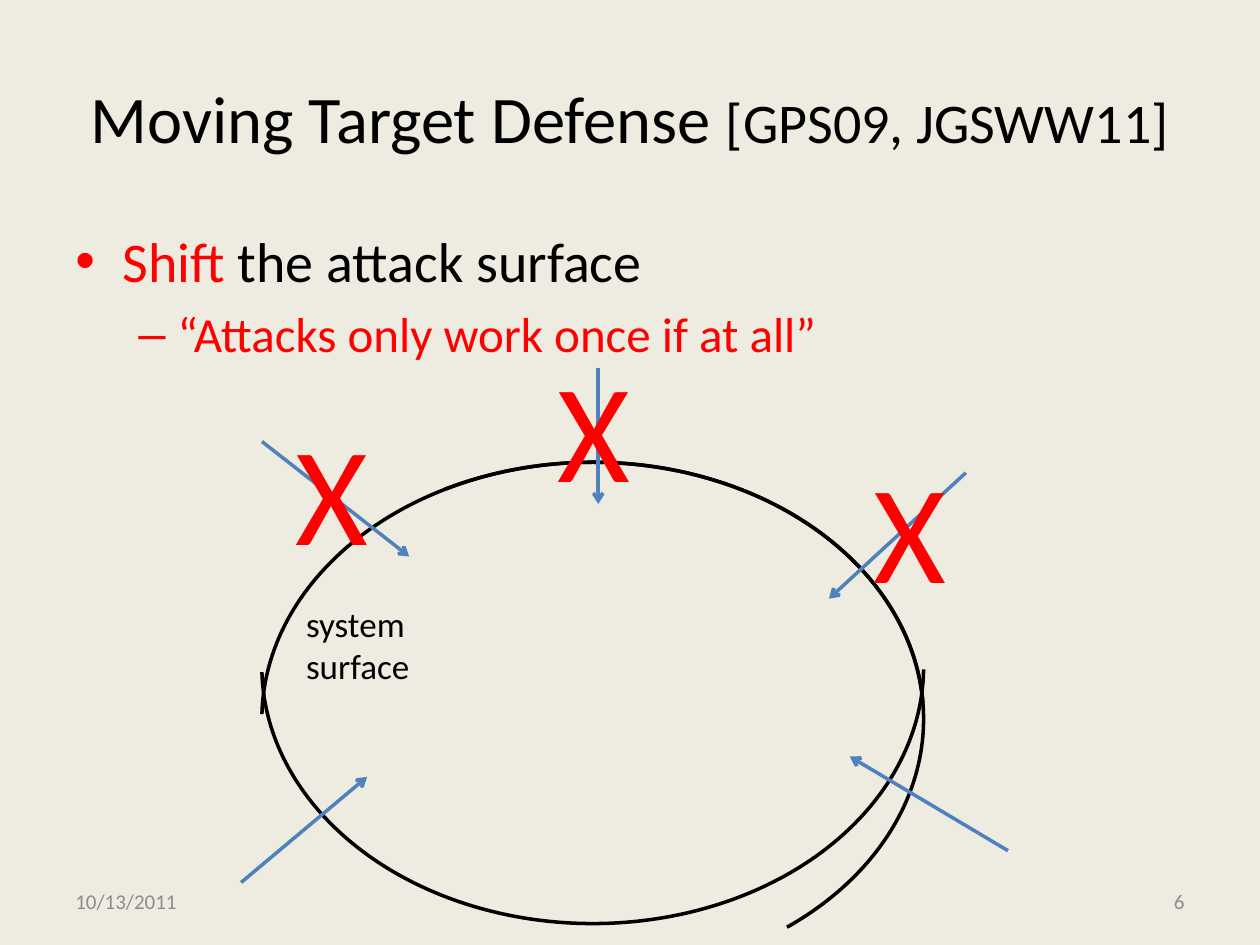
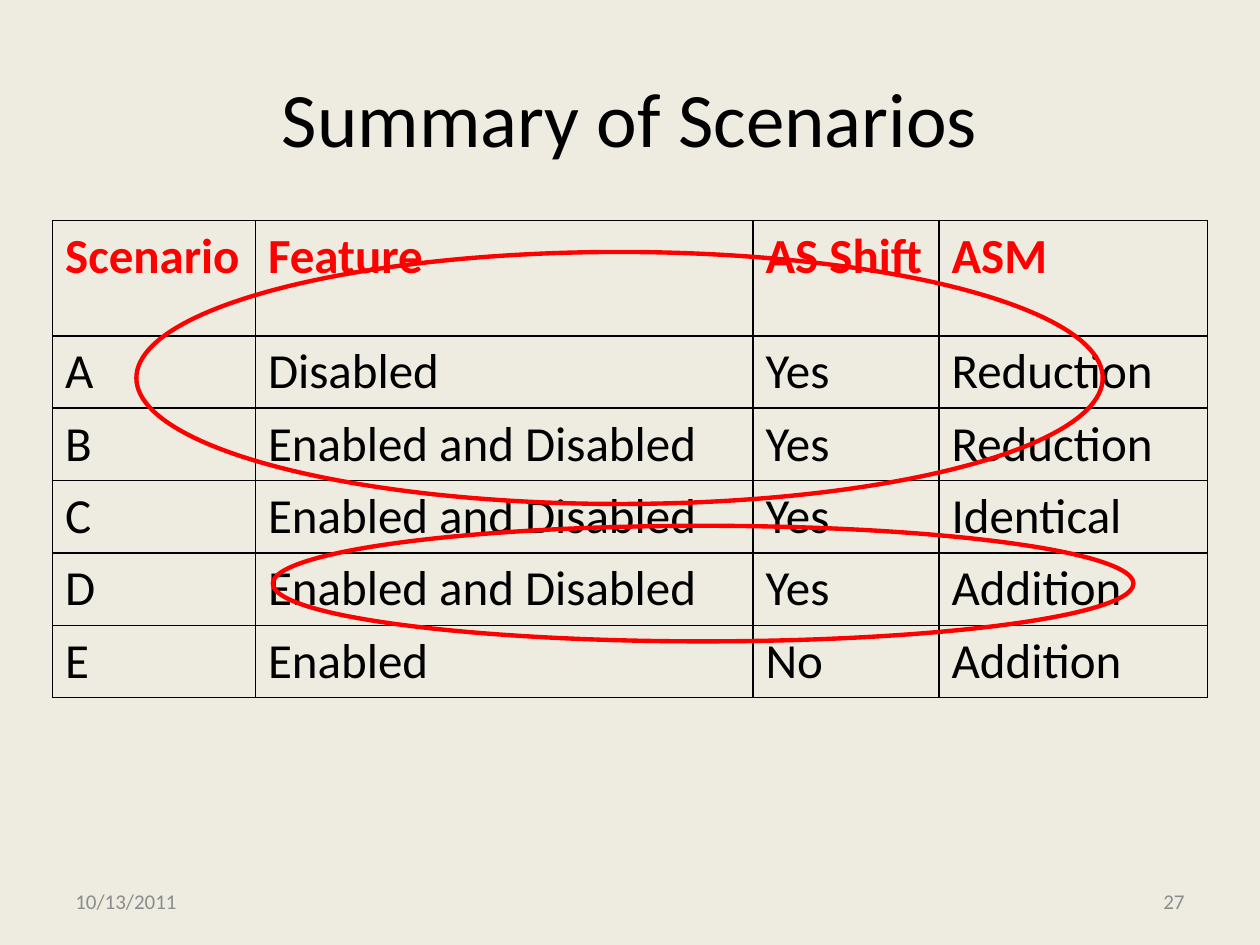
import lxml.etree
import pptx
import pptx.dml.color
import pptx.enum.shapes
import pptx.enum.text
import pptx.oxml.ns
import pptx.util

Cm = pptx.util.Cm
Pt = pptx.util.Pt
qn = pptx.oxml.ns.qn
SHAPE = pptx.enum.shapes.MSO_SHAPE
ALIGN = pptx.enum.text.PP_ALIGN
ANCHOR = pptx.enum.text.MSO_ANCHOR

COLORS = {
    "paper": "EEECE1",
    "ink": "000000",
    "accent": "FF0000",
    "attack": "4F81BD",
    "footer": "8C8C8C",
}
FONT = "Calibri"
TITLE_BOX = (1.27, 0.76, 22.86, 3.18)
BODY_BOX = (1.27, 4.45, 22.86, 12.57)
DATE_BOX = (1.27, 17.65, 5.92, 1.02)
NUMBER_BOX = (18.21, 17.65, 5.92, 1.02)
DATE = "10/13/2011"

BULLETS = [
    {"char": "•", "margin": 0.95, "hang": 0.95, "before": 6.4,
     "runs": [("Shift", 32, "accent"), (" the attack surface", 32, "ink")]},
    {"char": "–", "margin": 2.06, "hang": 0.79, "before": 5.6,
     "runs": [("“Attacks only work once if at all”", 28, "accent")]},
]

SURFACE_BOX = (5.28, 8.26, 13.34, 10.36)
SHIFT_DOWN = 1.06
SURFACE_ARCS = [
    (SHIFT_DOWN, 180.87, 357.25),
    (SHIFT_DOWN, 237.17, 46.95),
    (0, 0.46, 179.06),
]
ATTACKS = [
    ((6.78, -0.85), (6.78, 1.9)),
    ((0, 0.64), (2.97, 2.96)),
    ((14.19, 1.27), (11.43, 3.81)),
    ((15.04, 8.89), (11.85, 6.99)),
    ((-0.42, 9.53), (2.12, 7.4)),
]
BLOCKED_MARKS = [(0.42, -0.21), (5.71, -1.48), (12.07, 0.56)]

SCENARIOS = [
    ("Scenario", "Feature", "AS Shift", "ASM"),
    ("A", "Disabled", "Yes", "Reduction"),
    ("B", "Enabled and Disabled", "Yes", "Reduction"),
    ("C", "Enabled and Disabled", "Yes", "Identical"),
    ("D", "Enabled and Disabled", "Yes", "Addition"),
    ("E", "Enabled", "No", "Addition"),
]
SCENARIO_BOX = (1.06, 4.45, 23.28, 9.62)
COLUMN_WIDTHS = (4.09, 10.03, 3.75, 5.41)
HEADER_HEIGHT = 2.32
HIGHLIGHTS = [(1.69, 0.63, 19.48, 5.08), (4.44, 6.15, 17.35, 2.33)]


def rgb(name):
    return pptx.dml.color.RGBColor.from_string(COLORS[name])


def apply_format(target, values):
    for name, value in values.items():
        setattr(target, name, value)


def add_run(paragraph, words, size, color, **extra):
    run = paragraph.add_run()
    run.text = words
    apply_format(run.font, {"name": FONT, "size": Pt(size), **extra})
    run.font.color.rgb = rgb(color)


def add_text_frame(slide, box, anchor=ANCHOR.TOP):
    frame = slide.shapes.add_textbox(*map(Cm, box)).text_frame
    apply_format(frame, {"word_wrap": True, "vertical_anchor": anchor})
    return frame


def add_line_of_text(slide, box, runs, align=ALIGN.LEFT, anchor=ANCHOR.TOP):
    paragraph = add_text_frame(slide, box, anchor).paragraphs[0]
    paragraph.alignment = align
    for run in runs:
        add_run(paragraph, *run)


def add_outline(slide, kind, box, color, width):
    outline = slide.shapes.add_shape(kind, *map(Cm, box))
    outline.shadow.inherit = False
    outline.fill.background()
    outline.line.color.rgb = rgb(color)
    outline.line.width = Pt(width)
    return outline


def add_attack(slide, start, end):
    attack = slide.shapes.add_connector(
        pptx.enum.shapes.MSO_CONNECTOR.STRAIGHT, *map(Cm, start + end))
    attack.line.color.rgb = rgb("attack")
    attack.line.width = Pt(2)
    properties = attack.element.spPr
    lxml.etree.SubElement(properties.find(qn("a:ln")), qn("a:tailEnd"), type="arrow")
    lxml.etree.SubElement(properties, qn("a:effectLst"))


def add_frame(deck, title_runs, number):
    slide = deck.slides.add_slide(deck.slide_layouts[6])
    add_line_of_text(slide, TITLE_BOX, title_runs, ALIGN.CENTER, ANCHOR.MIDDLE)
    footers = [(DATE_BOX, DATE, ALIGN.LEFT), (NUMBER_BOX, str(number), ALIGN.RIGHT)]
    for box, words, align in footers:
        add_line_of_text(slide, box, [(words, 12, "footer")], align, ANCHOR.MIDDLE)
    return slide


def add_bullets(slide, box):
    frame = add_text_frame(slide, box)
    for index, bullet in enumerate(BULLETS):
        paragraph = frame.add_paragraph() if index else frame.paragraphs[0]
        paragraph.level = index
        paragraph.space_before = Pt(bullet["before"])
        for run in bullet["runs"]:
            add_run(paragraph, *run)
        properties = paragraph._p.get_or_add_pPr()
        properties.set("marL", str(Cm(bullet["margin"])))
        properties.set("indent", str(-Cm(bullet["hang"])))
        lxml.etree.SubElement(properties, qn("a:buFont"), typeface="Arial")
        lxml.etree.SubElement(properties, qn("a:buChar"), char=bullet["char"])


def add_attack_surface(slide, box):
    left, top, width, height = box

    def place(point):
        return left + point[0], top + point[1]

    for drop, start, end in SURFACE_ARCS:
        arc = add_outline(slide, SHAPE.ARC, (left, top + drop, width, height), "ink", 2)
        for index, degrees in enumerate((start, end)):
            arc.adjustments[index] = degrees * 0.6
    for start, end in ATTACKS:
        add_attack(slide, place(start), place(end))
    for mark in BLOCKED_MARKS:
        add_line_of_text(slide, place(mark) + (2.96, 3.68), [("X", 80, "accent")])
    add_line_of_text(slide, place((0.64, 3.77)) + (3.88, 1.95),
                     [("system surface", 20, "ink")])


def add_cell_borders(cell):
    properties = cell._tc.get_or_add_tcPr()
    for side in ("lnL", "lnR", "lnT", "lnB"):
        border = lxml.etree.SubElement(properties, qn(f"a:{side}"), w=str(Pt(1)))
        fill = lxml.etree.SubElement(border, qn("a:solidFill"))
        lxml.etree.SubElement(fill, qn("a:srgbClr"), val=COLORS["ink"])


def add_scenario_table(slide, box):
    left, top, width, height = box
    table = slide.shapes.add_table(
        len(SCENARIOS), len(COLUMN_WIDTHS), *map(Cm, box)).table
    apply_format(table, {"first_row": False, "horz_banding": False})
    for column, column_width in zip(table.columns, COLUMN_WIDTHS):
        column.width = Cm(column_width)
    row_height = (height - HEADER_HEIGHT) / (len(SCENARIOS) - 1)
    for row_index, scenario in enumerate(SCENARIOS):
        header = row_index == 0
        table.rows[row_index].height = Cm(HEADER_HEIGHT if header else row_height)
        for column_index, words in enumerate(scenario):
            cell = table.cell(row_index, column_index)
            add_cell_borders(cell)
            cell.fill.background()
            add_run(cell.text_frame.paragraphs[0], words, 28,
                    "accent" if header else "ink", bold=header)
    for x, y, mark_width, mark_height in HIGHLIGHTS:
        add_outline(slide, SHAPE.OVAL, (left + x, top + y, mark_width, mark_height),
                    "accent", 2.5)


def build_defense_slide(deck):
    title = [("Moving Target Defense ", 38, "ink"), ("[GPS09, JGSWW11]", 32, "ink")]
    slide = add_frame(deck, title, 6)
    add_bullets(slide, BODY_BOX)
    add_attack_surface(slide, SURFACE_BOX)


def build_summary_slide(deck):
    slide = add_frame(deck, [("Summary of Scenarios", 44, "ink")], 27)
    add_scenario_table(slide, SCENARIO_BOX)


def main():
    deck = pptx.Presentation()
    apply_format(deck, {"slide_width": Cm(25.4), "slide_height": Cm(19.05)})
    background = deck.slide_master.background.fill
    background.solid()
    background.fore_color.rgb = rgb("paper")
    build_defense_slide(deck)
    build_summary_slide(deck)
    deck.save("out.pptx")


if __name__ == "__main__":
    main()
